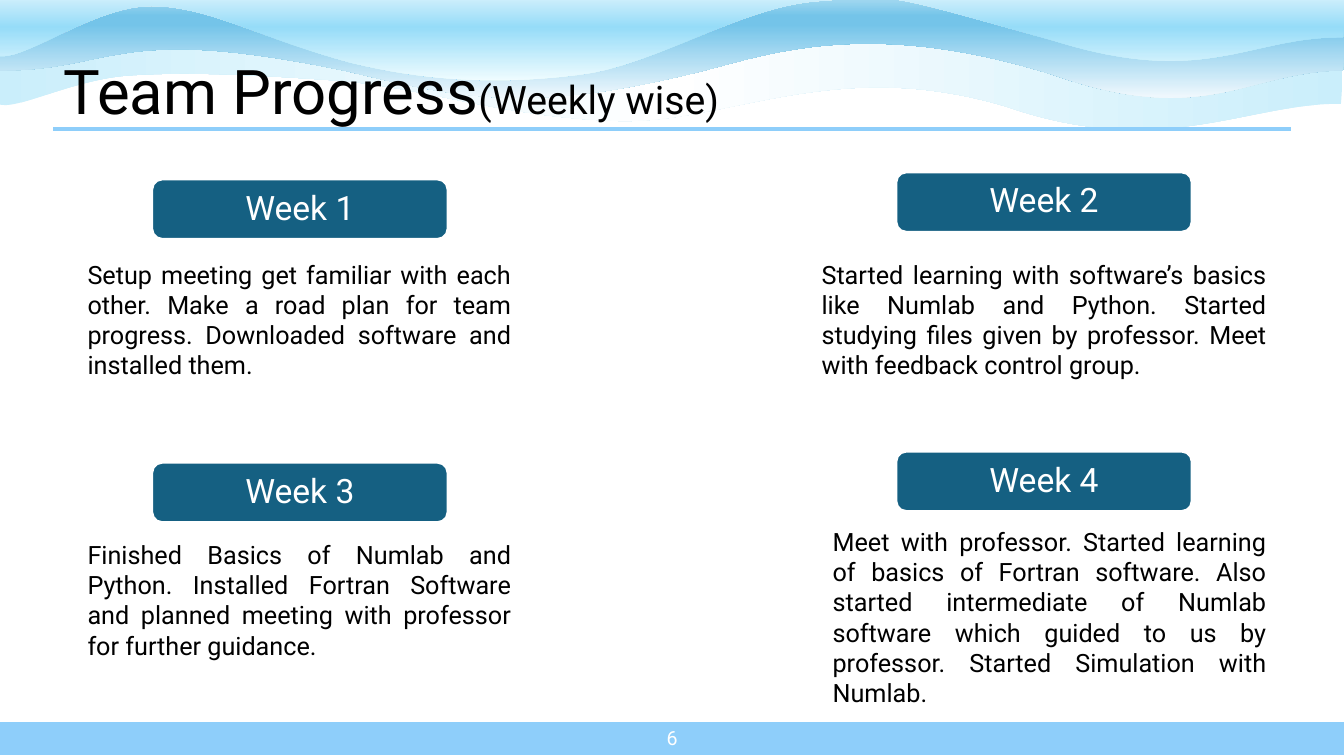
from lxml import etree
from pptx import Presentation
from pptx import util as u
from pptx.dml.color import RGBColor
from pptx.enum import shapes, text
from pptx.oxml import ns, parse_xml

FONT = "Roboto"
SKY = "8ECEFA"
NAVY = "156082"
WHITE = "FFFFFF"
BLACK = "000000"

WAVES = [
    {
        "box": (-0.04, 0.3, 13.36, 0.98),
        "start": (13.3, 1.03),
        "curves": [
            [(12.37, 1.02), (11.52, 1.59), (9.99, 1.06)],
            [(8.27, 0.54), (7.21, 1.24), (6.1, 1.2)],
            [(4.99, 1.16), (4.21, 0.87), (3.35, 0.8)],
            [(2.49, 0.74), (1.83, 0.71), (1.27, 0.75)],
            [(0.71, 0.79), (0.14, 1.11), (-0.02, 1.03)],
            [(-0.02, 0.8), (-0.04, 0.53), (-0.04, 0.3)],
        ],
        "top": [(3.13, 0.31), (6.52, 0.34), (9.41, 0.32), (13.32, 0.34)],
        "closing": [(13.32, 0.55), (13.32, 0.8), (13.3, 1.03)],
        "stops": [(0, "CAEEFB"), (50, WHITE), (100, "CAEEFB")],
        "angle": 0,
    },
    {
        "box": (0, -0.01, 13.33, 0.98),
        "start": (13.32, 0.7),
        "curves": [
            [(12.39, 0.7), (11.96, 1.28), (10.44, 0.74)],
            [(8.71, 0.2), (7.73, 0.5), (7.06, 0.68)],
            [(5.28, 1.14), (4.59, 0.98), (3.46, 0.71)],
            [(1.13, 0.22), (1.15, 0.7), (0, 0.7)],
            [(0, 0.47), (0.01, 0.24), (0.01, 0)],
        ],
        "top": [(3.13, 0.01), (6.54, -0.01), (9.46, 0), (13.33, 0.04)],
        "closing": [(13.33, 0.26), (13.34, 0.47), (13.32, 0.7)],
        "stops": [(0, "A2D8F0"), (17, "74C4E9"), (26, "74C4E9"), (100, "F0F8FD")],
        "angle": 90,
    },
    {
        "box": (-0.03, -0.26, 13.36, 1.06),
        "start": (13.32, 0.37),
        "curves": [
            [(12.39, 0.36), (11.96, 0.88), (10.44, 0.4)],
            [(8.72, -0.08), (8.91, -0.05), (8.13, 0.01)],
            [(7.35, 0.06), (6.53, 0.64), (5.76, 0.74)],
            [(4.98, 0.84), (4.24, 0.81), (3.47, 0.62)],
            [(2.58, 0.38), (2.07, 0.06), (1.5, 0.06)],
            [(0.92, 0.06), (0.22, 0.63), (-0.03, 0.55)],
            [(-0.02, 0.34), (0.01, -0.04), (0.01, -0.25)],
        ],
        "top": [(3.13, -0.24), (6.54, -0.26), (9.46, -0.25), (13.33, -0.22)],
        "closing": [(13.33, -0.03), (13.34, 0.16), (13.32, 0.37)],
        "stops": [(0, WHITE), (50, "96DCF8"), (100, "EFFCFF")],
        "angle": 90,
    },
]

WEEKS = [
    ("Week 1", (1.51, 1.78), (0.77, 2.52, 4.4, 1.31),
     "Setup meeting get familiar with each other. Make a road plan for team "
     "progress. Downloaded software and installed them."),
    ("Week 2", (8.89, 1.71), (8.05, 2.52, 4.61, 1.31),
     "Started learning with software’s basics like Numlab and Python. Started "
     "studying files given by professor. Meet with feedback control group."),
    ("Week 3", (1.51, 4.59), (0.77, 5.3, 4.4, 1.31),
     "Finished Basics of Numlab and Python. Installed Fortran Software and "
     "planned meeting with professor for further guidance."),
    ("Week 4", (8.89, 4.48), (8.16, 5.17, 4.5, 1.62),
     "Meet with professor. Started learning of basics of Fortran software. Also "
     "started intermediate of Numlab software which guided to us by professor. "
     "Started Simulation with Numlab."),
]


def color(value):
    return RGBColor.from_string(value)


def inches(box):
    return [u.Inches(length) for length in box]


def style_run(run, size, ink):
    run.font.name = FONT
    run.font.size = u.Pt(size)
    run.font.color.rgb = color(ink)


def add_text(slide, box, words, size, ink, align, anchor=text.MSO_ANCHOR.TOP, wrap=True):
    frame = slide.shapes.add_textbox(*inches(box)).text_frame
    frame.word_wrap = wrap
    frame.vertical_anchor = anchor
    paragraph = frame.paragraphs[0]
    paragraph.text = words
    paragraph.alignment = align
    style_run(paragraph.runs[0], size, ink)
    return paragraph


def add_block(slide, kind, box, fill):
    shape = slide.shapes.add_shape(kind, *inches(box))
    shape.shadow.inherit = False
    shape.fill.solid()
    shape.fill.fore_color.rgb = color(fill)
    shape.line.color.rgb = color(WHITE)
    shape.line.width = u.Pt(1.5)
    return shape


def add_wave(slide, wave):
    left, top, width, height = wave["box"]
    right, bottom = left + width, top + height
    builder = slide.shapes.build_freeform(*inches((left, top)))
    builder.add_line_segments(
        [inches(corner) for corner in ((right, top), (right, bottom), (left, bottom))])
    shape = builder.convert_to_shape()
    shape.shadow.inherit = False
    shape.line.fill.background()

    outline = next(shape._element.iter(ns.qn("a:path")))
    for segment in list(outline):
        outline.remove(segment)

    def add_segment(tag, points):
        segment = etree.SubElement(outline, ns.qn(tag))
        for x, y in points:
            etree.SubElement(segment, ns.qn("a:pt"),
                             x=str(u.Inches(x - left)), y=str(u.Inches(y - top)))

    add_segment("a:moveTo", [wave["start"]])
    for curve in wave["curves"]:
        add_segment("a:cubicBezTo", curve)
    for point in wave["top"]:
        add_segment("a:lnTo", [point])
    add_segment("a:cubicBezTo", wave["closing"])
    add_segment("a:close", [])

    stops = "".join(
        f'<a:gs pos="{position * 1000}"><a:srgbClr val="{value}"/></a:gs>'
        for position, value in wave["stops"]
    )
    gradient = parse_xml(
        f'<a:gradFill {ns.nsdecls("a")}><a:gsLst>{stops}</a:gsLst>'
        f'<a:lin ang="{wave["angle"] * 60000}" scaled="0"/></a:gradFill>'
    )
    shape._element.spPr.find(ns.qn("a:custGeom")).addnext(gradient)


def add_header(slide, box):
    left, top, width, height = box
    paragraph = add_text(slide, (left, top, 8.47, height), "Team Progress", 44, BLACK,
                         text.PP_ALIGN.LEFT, text.MSO_ANCHOR.MIDDLE)
    paragraph.line_spacing = 0.9
    suffix = paragraph.add_run()
    suffix.text = "(Weekly wise)"
    style_run(suffix, 28, BLACK)
    rule_y = top + 0.73
    rule = slide.shapes.add_connector(
        shapes.MSO_CONNECTOR.STRAIGHT, *inches((left, rule_y, left + width, rule_y)))
    rule.line.color.rgb = color(SKY)
    rule.line.width = u.Pt(3)
    etree.SubElement(rule._element.spPr, ns.qn("a:effectLst"))


def add_footer(slide, box):
    left, top, width, height = box
    add_block(slide, shapes.MSO_SHAPE.RECTANGLE, box, SKY)
    add_text(slide, (left + 6.52, top - 0.03, 0.31, 0.4), "6", 14, WHITE,
             text.PP_ALIGN.RIGHT, text.MSO_ANCHOR.MIDDLE, wrap=False)


def add_week(slide, name, corner, body_box, summary):
    badge = add_block(slide, shapes.MSO_SHAPE.ROUNDED_RECTANGLE, (*corner, 2.93, 0.59), NAVY)
    frame = badge.text_frame
    frame.text = name
    frame.vertical_anchor = text.MSO_ANCHOR.MIDDLE
    paragraph = frame.paragraphs[0]
    paragraph.alignment = text.PP_ALIGN.CENTER
    paragraph.line_spacing = 0.9
    style_run(paragraph.runs[0], 24, WHITE)
    add_text(slide, body_box, summary, 18, BLACK, text.PP_ALIGN.JUSTIFY)


def main():
    presentation = Presentation()
    presentation.slide_width = u.Inches(13.33)
    presentation.slide_height = u.Inches(7.5)
    slide = presentation.slides.add_slide(presentation.slide_layouts[6])
    for wave in WAVES:
        add_wave(slide, wave)
    add_footer(slide, (-0.01, 7.15, 13.35, 0.35))
    add_header(slide, (0.53, 0.55, 12.27, 0.78))
    for week in WEEKS:
        add_week(slide, *week)
    presentation.save("out.pptx")


if __name__ == "__main__":
    main()
